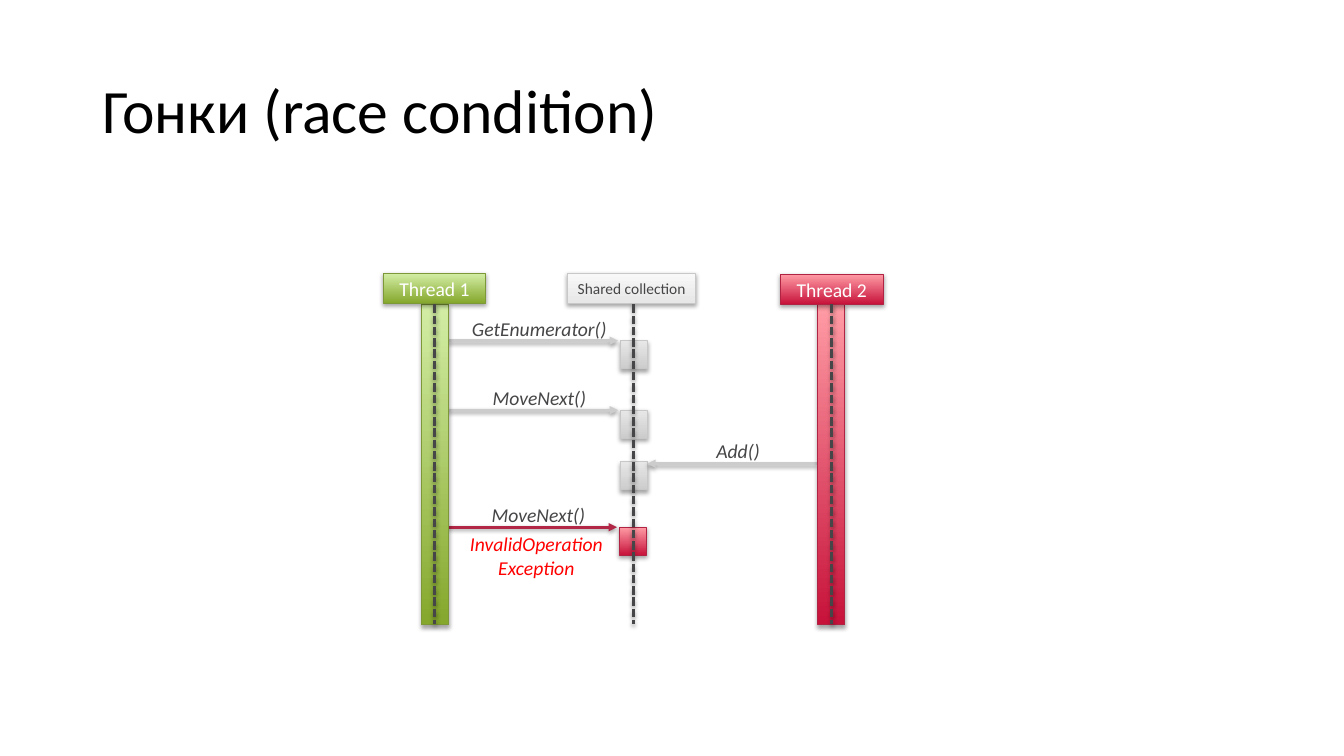
from dataclasses import dataclass

from lxml.etree import SubElement
from pptx import Presentation
from pptx.dml.color import RGBColor
from pptx.enum.dml import MSO_LINE
from pptx.enum.shapes import MSO_CONNECTOR, MSO_SHAPE
from pptx.enum.text import MSO_ANCHOR, PP_ALIGN
from pptx.oxml.ns import qn
from pptx.shapes.autoshape import Shape
from pptx.shapes.base import BaseShape
from pptx.shapes.connector import Connector
from pptx.slide import Slide
from pptx.util import Inches, Pt

FONT = "Calibri"
BLACK = RGBColor(0x00, 0x00, 0x00)
WHITE = RGBColor(0xFF, 0xFF, 0xFF)
DARK = RGBColor(0x46, 0x45, 0x47)
SILVER = RGBColor(0xCC, 0xCC, 0xCC)
CRIMSON = RGBColor(0xB2, 0x27, 0x46)
ERROR_RED = RGBColor(0xFF, 0x00, 0x00)


@dataclass(frozen=True)
class Paint:
    bottom: RGBColor
    top: RGBColor
    line: RGBColor


GREEN = Paint(RGBColor(0x85, 0xA7, 0x2C), RGBColor(0xD3, 0xEE, 0xA5), RGBColor(0x7D, 0x98, 0x36))
RED = Paint(RGBColor(0xC7, 0x12, 0x3A), RGBColor(0xFF, 0x9C, 0xA5), RGBColor(0xB1, 0x23, 0x43))
GREY = Paint(SILVER, RGBColor(0xE7, 0xE7, 0xE7), RGBColor(0xC8, 0xC8, 0xC8))
PALE = Paint(RGBColor(0xE7, 0xE7, 0xE7), RGBColor(0xF8, 0xF8, 0xF8), GREY.line)


@dataclass(frozen=True)
class Call:
    name: str
    y: float
    start: float
    end: float
    label_x: float
    box: tuple[float, float]
    paint: Paint = GREY
    arrow: RGBColor = SILVER


@dataclass(frozen=True)
class Participant:
    name: str
    center: float
    left: float
    top: float
    width: float
    paint: Paint
    size: float = 14
    color: RGBColor = WHITE
    bar_left: float | None = None


CALLS = [
    Call("MoveNext()", 5.23, 4.44, 6.12, 5.34, (6.14, 5.23), RED, CRIMSON),
    Call("Add()", 4.6, 8.1, 6.42, 7.32, (6.15, 4.58)),
    Call("MoveNext()", 4.07, 4.45, 6.13, 5.35, (6.15, 4.07)),
    Call("GetEnumerator()", 3.38, 4.45, 6.13, 5.35, (6.15, 3.38)),
]
PARTICIPANTS = [
    Participant("Shared collection", 6.28, 5.63, 2.71, 1.27, PALE, 11, DARK),
    Participant("Thread 1", 4.31, 3.8, 2.71, 1.02, GREEN, bar_left=4.18),
    Participant("Thread 2", 8.25, 7.74, 2.72, 1.02, RED, bar_left=8.11),
]
LIFE_TOP, LIFE_BOTTOM = 3.02, 6.19
BAR_WIDTH = 0.27
LABEL_RISE = 0.29


def add_shadow(shape: BaseShape, dist: float, alpha: int) -> None:
    effects = SubElement(shape._element.spPr, qn("a:effectLst"))
    outer = SubElement(effects, qn("a:outerShdw"), blurRad=str(Pt(3.1)), dist=str(Pt(dist)),
                       dir="5400000", rotWithShape="0")
    color = SubElement(outer, qn("a:srgbClr"), val="000000")
    SubElement(color, qn("a:alpha"), val=str(alpha * 1000))


def write(s: Shape, text: str, *, size: float = 14, color: RGBColor = DARK, italic: bool = False,
          align: PP_ALIGN = PP_ALIGN.CENTER, anchor: MSO_ANCHOR = MSO_ANCHOR.MIDDLE,
          wrap: bool = False, spacing: float = 1.0) -> None:
    """Fill a shape with text, one paragraph per line."""
    tf = s.text_frame
    tf.word_wrap = wrap
    tf.vertical_anchor = anchor
    tf.text = text
    for p in tf.paragraphs:
        p.alignment = align
        p.line_spacing = spacing
        for r in p.runs:
            r.font.name = FONT
            r.font.size = Pt(size)
            r.font.italic = italic
            r.font.color.rgb = color


def add_label(slide: Slide, text: str, center: float, top: float, width: float, height: float,
              color: RGBColor = DARK) -> None:
    s = slide.shapes.add_textbox(Inches(center - width / 2), Inches(top), Inches(width), Inches(height))
    write(s, text, color=color, italic=True, anchor=MSO_ANCHOR.TOP)


def add_block(slide: Slide, left: float, top: float, width: float, height: float,
              paint: Paint) -> Shape:
    s = slide.shapes.add_shape(MSO_SHAPE.RECTANGLE, Inches(left), Inches(top),
                               Inches(width), Inches(height))
    s.fill.gradient()
    s.fill.gradient_angle = 90
    for stop, color in zip(s.fill.gradient_stops, (paint.bottom, paint.top)):
        stop.color.rgb = color
    s.line.color.rgb = paint.line
    s.line.width = Pt(0.75)
    add_shadow(s, 1.8, 35)
    return s


def add_line(slide: Slide, start: tuple[float, float], end: tuple[float, float],
             color: RGBColor) -> Connector:
    c = slide.shapes.add_connector(MSO_CONNECTOR.STRAIGHT, *map(Inches, start + end))
    c.line.color.rgb = color
    c.line.width = Pt(2)
    add_shadow(c, 1.6, 38)
    return c


def add_call(slide: Slide, call: Call) -> None:
    add_block(slide, *call.box, BAR_WIDTH, 0.28, call.paint)
    c = add_line(slide, (call.start, call.y), (call.end, call.y), call.arrow)
    SubElement(c.line._get_or_add_ln(), qn("a:tailEnd"), type="triangle")
    add_label(slide, call.name, call.label_x, call.y - LABEL_RISE, 1.56, 0.34)


def add_header(slide: Slide, who: Participant) -> None:
    s = add_block(slide, who.left, who.top, who.width, 0.3, who.paint)
    write(s, who.name, size=who.size, color=who.color)


def main() -> None:
    prs = Presentation()
    prs.slide_width, prs.slide_height = Inches(13.33), Inches(7.5)
    slide = prs.slides.add_slide(prs.slide_layouts[6])

    title = slide.shapes.add_textbox(Inches(0.92), Inches(0.4), Inches(11.5), Inches(1.45))
    write(title, "Гонки (race condition)", size=44, color=BLACK, align=PP_ALIGN.LEFT,
          wrap=True, spacing=0.9)

    for call in CALLS:
        add_call(slide, call)
    add_label(slide, "InvalidOperation\nException", 5.32, 5.23, 1.54, 0.57, ERROR_RED)

    for who in PARTICIPANTS:
        if who.bar_left is not None:
            add_block(slide, who.bar_left, LIFE_TOP, BAR_WIDTH, 3.18, who.paint)
    for who in PARTICIPANTS:
        add_header(slide, who)
    for who in PARTICIPANTS:
        c = add_line(slide, (who.center, LIFE_TOP), (who.center, LIFE_BOTTOM), DARK)
        c.line.dash_style = MSO_LINE.SQUARE_DOT

    prs.save("out.pptx")


if __name__ == "__main__":
    main()
